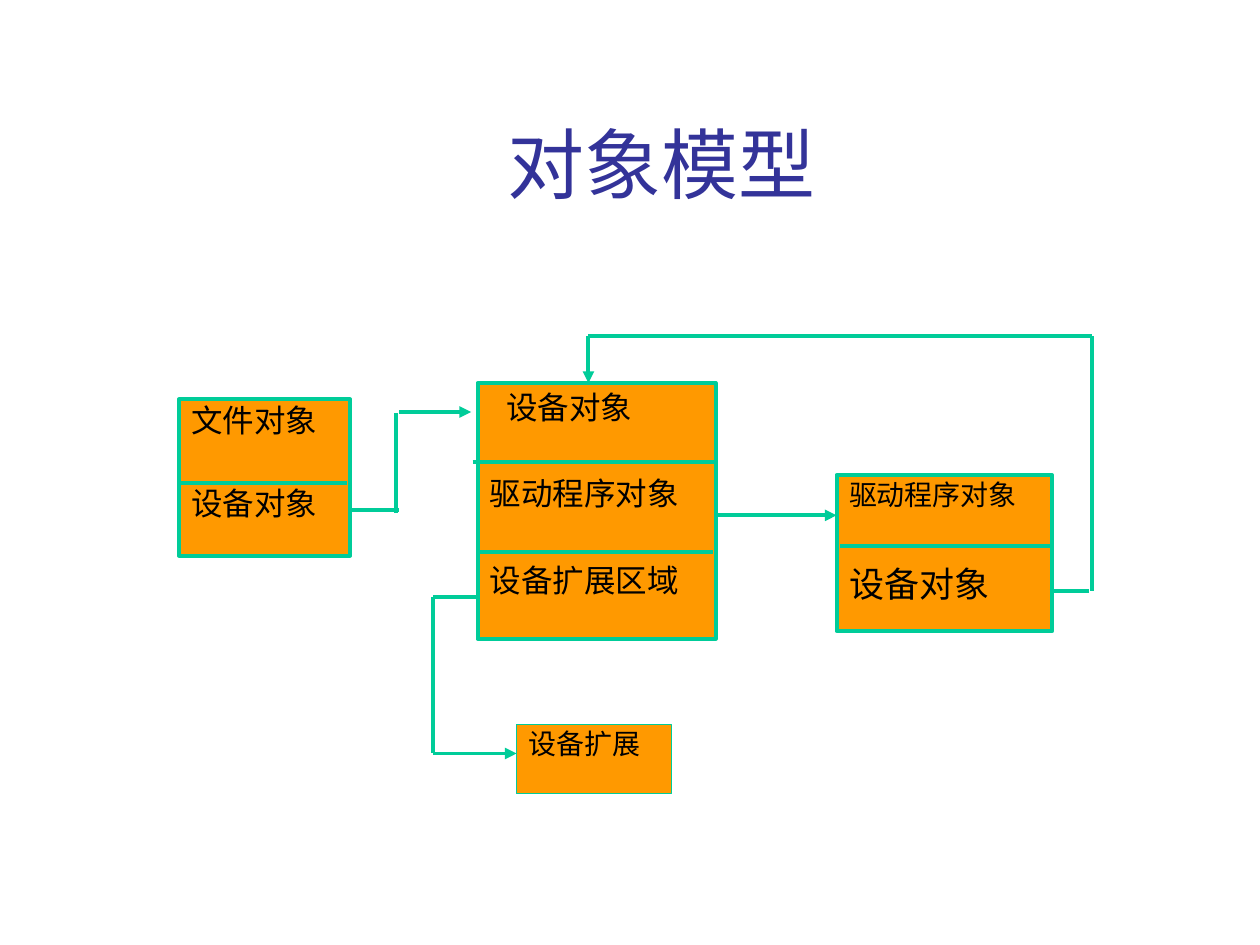
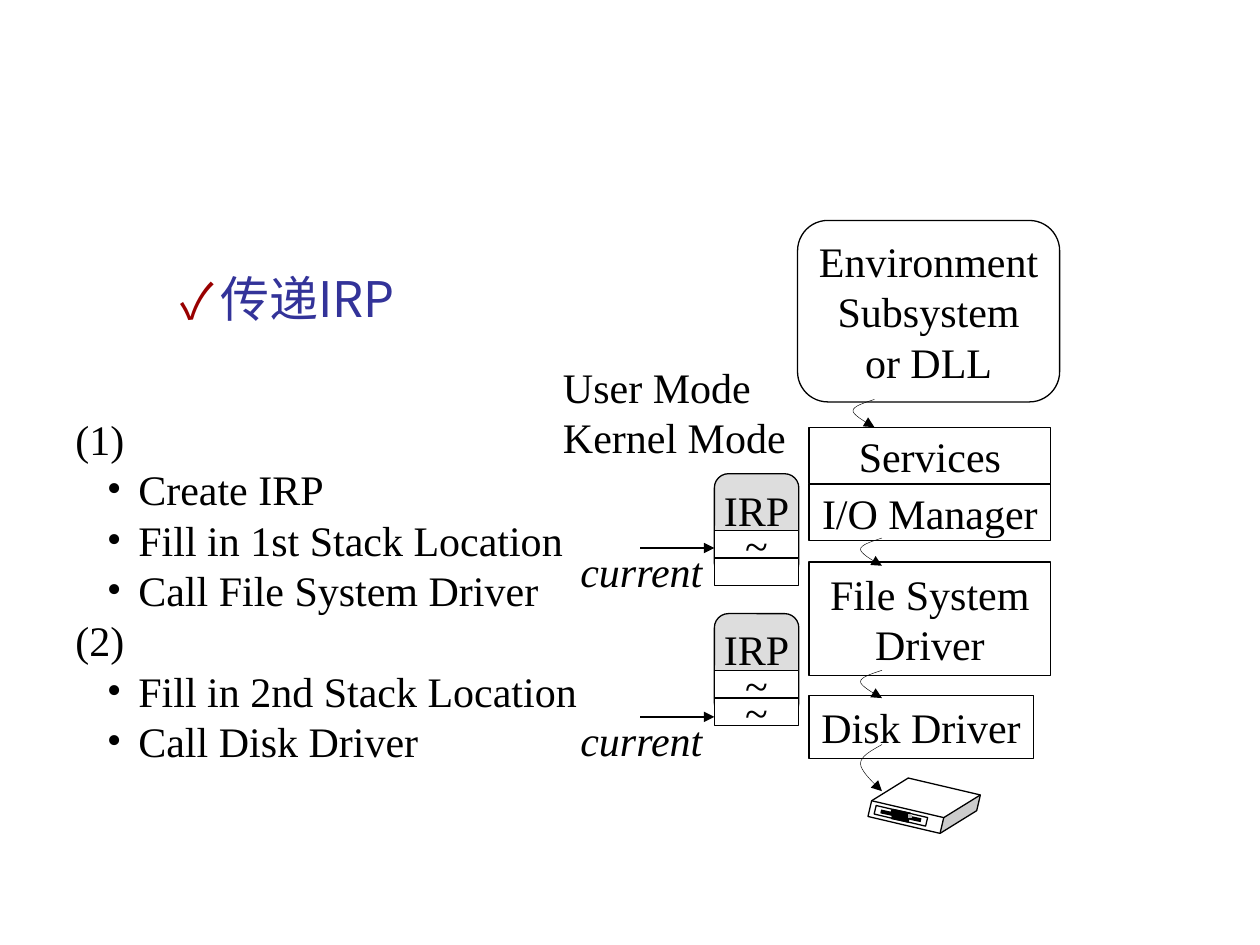
from lxml import etree
from pptx import Presentation
from pptx.dml.color import RGBColor
from pptx.enum import shapes, text
from pptx.oxml.ns import qn
from pptx.util import Inches, Pt

NAVY = RGBColor(0x33, 0x33, 0x99)
GREEN = RGBColor(0x00, 0xCC, 0x99)
ORANGE = RGBColor(0xFF, 0x99, 0x00)
BLACK = RGBColor(0x00, 0x00, 0x00)
WHITE = RGBColor(0xFF, 0xFF, 0xFF)
LIGHT_GRAY = RGBColor(0xDD, 0xDD, 0xDD)
GRAY = RGBColor(0xB2, 0xB2, 0xB2)
DARK_RED = RGBColor(0x99, 0x00, 0x00)
SERIF = "Times New Roman"
CHINESE = "Noto Sans CJK SC"
RECT = shapes.MSO_SHAPE.RECTANGLE
ROUNDED = shapes.MSO_SHAPE.ROUNDED_RECTANGLE
MIDDLE, TOP = text.MSO_ANCHOR.MIDDLE, text.MSO_ANCHOR.TOP
LEFT, CENTER = text.PP_ALIGN.LEFT, text.PP_ALIGN.CENTER


def add_box(page, kind, at, lines=(), fill=WHITE, border=BLACK, width=0.75,
            font=SERIF, size=24, align=CENTER, anchor=MIDDLE, wrap=False):
    place = [Inches(value) for value in at]
    if kind is None:
        box = page.shapes.add_textbox(*place)
    else:
        box = page.shapes.add_shape(kind, *place)
        box.shadow.inherit = False
        box.line.color.rgb = border
        box.line.width = Pt(width)
        if fill is None:
            box.fill.background()
        else:
            box.fill.solid()
            box.fill.fore_color.rgb = fill
    frame = box.text_frame
    frame.word_wrap = wrap
    frame.vertical_anchor = anchor
    frame.text = "\n".join(lines)
    for para in frame.paragraphs:
        para.alignment = align
        for span in para.runs:
            span.font.name = font
            span.font.size = Pt(size)
            span.font.color.rgb = BLACK
            etree.SubElement(span.font._element, qn("a:ea"), typeface=CHINESE)
    return box


def add_line(page, points, color=BLACK, width=0.75, arrow=False):
    for start, end in zip(points, points[1:]):
        line = page.shapes.add_connector(
            shapes.MSO_CONNECTOR.STRAIGHT, *[Inches(value) for value in start + end])
        line.line.color.rgb = color
        line.line.width = Pt(width)
        if arrow and end == points[-1]:
            etree.SubElement(line.line._get_or_add_ln(), qn("a:tailEnd"), type="triangle")
        etree.SubElement(line._element.spPr, qn("a:effectLst"))


deck = Presentation()
deck.slide_width = Inches(10)
deck.slide_height = Inches(7.5)

titles = [
    ("对象模型", (1, 0.67, 8.5, 1.25), 44, SERIF, CENTER, MIDDLE),
    ("传递IRP", (1.33, 2.08, 2.83, 0.57), 28, CHINESE, LEFT, TOP),
]
for words, at, size, font, align, anchor in titles:
    page = deck.slides.add_slide(deck.slide_layouts[5])
    title = page.shapes.title
    title.left, title.top, title.width, title.height = [Inches(value) for value in at]
    title.text_frame.text = words
    title.text_frame.auto_size = text.MSO_AUTO_SIZE.NONE
    title.text_frame.vertical_anchor = anchor
    para = title.text_frame.paragraphs[0]
    para.alignment = align
    span = para.runs[0]
    span.font.name = font
    span.font.size = Pt(size)
    span.font.color.rgb = NAVY
    etree.SubElement(span.font._element, qn("a:ea"), typeface=CHINESE)

object_page, irp_page = deck.slides

objects = [
    ((1.42, 3.17, 1.36, 1.24), ["文件对象", "设备对象"], 18, 2.25, 28),
    ((3.79, 3.04, 1.89, 2.03), ["设备对象", "驱动程序对象", "设备扩展区域"], 18, 2.25, 30),
    ((6.64, 3.77, 1.71, 1.24), ["驱动程序对象", "设备对象"], 16, 2.25, 32),
    ((4.1, 5.75, 1.23, 0.55), ["设备扩展"], 16, 0.75, 0),
]
object_boxes = []
for at, fields, size, width, gap in objects:
    box = add_box(object_page, RECT, at, fields, ORANGE, GREEN, width,
                  CHINESE, size, LEFT, TOP, wrap=True)
    for para in box.text_frame.paragraphs:
        para.line_spacing = 0.9
    for para in box.text_frame.paragraphs[1:]:
        para.space_before = Pt(gap)
    object_boxes.append(box)
file_box, device_box, driver_box, extension_box = object_boxes
device_box.text_frame.margin_top = Inches(0.07)
device_box.text_frame.paragraphs[0]._p.get_or_add_pPr().set("marL", str(Inches(0.13)))
driver_box.text_frame.paragraphs[1].runs[0].font.size = Pt(20)

references = [
    [(3.17, 3.27), (3.74, 3.27)],
    [(5.68, 4.09), (6.64, 4.09)],
    [(3.79, 4.74), (3.44, 4.74), (3.44, 5.98), (4.1, 5.98)],
    [(8.67, 4.69), (8.67, 2.67), (4.67, 2.67), (4.67, 3.04)],
]
for points in references:
    add_line(object_page, points, GREEN, 2.25, arrow=True)

plain_lines = [
    [(2.78, 4.05), (3.17, 4.05)],
    [(3.14, 4.07), (3.14, 3.28)],
    [(8.33, 4.69), (8.64, 4.69)],
    [(1.42, 3.83), (2.75, 3.83)],
    [(3.75, 3.67), (5.67, 3.67)],
    [(3.8, 4.38), (5.66, 4.38)],
    [(6.67, 4.33), (8.33, 4.33)],
]
for points in plain_lines:
    add_line(object_page, points, GREEN, 2.25)

steps = add_box(irp_page, None, (0.5, 3.23, 4.29, 2.9), [
    "(1)", "Create IRP", "Fill in 1st Stack Location", "Call File System Driver",
    "(2)", "Fill in 2nd Stack Location", "Call Disk Driver"], align=LEFT)
bullets = [(irp_page.shapes.title.text_frame.paragraphs[0], "✓", CHINESE, DARK_RED, 0.32, 0.32)]
for para in steps.text_frame.paragraphs:
    if not para.text.startswith("("):
        para.level = 1
        bullets.append((para, "•", SERIF, BLACK, 0.5, 0.25))
for para, mark, font, color, margin, hanging in bullets:
    properties = para._p.get_or_add_pPr()
    properties.set("marL", str(Inches(margin)))
    properties.set("indent", str(-Inches(hanging)))
    mark_color = etree.SubElement(properties, qn("a:buClr"))
    etree.SubElement(mark_color, qn("a:srgbClr"), val=str(color))
    etree.SubElement(properties, qn("a:buFont"), typeface=font)
    etree.SubElement(properties, qn("a:buChar"), char=mark)

add_box(irp_page, RECT, (6.42, 5.52, 1.78, 0.5), ["Disk Driver"], fill=None)
add_box(irp_page, ROUNDED, (6.33, 1.75, 2.08, 1.44), ["Environment", "Subsystem", "or DLL"])
add_box(irp_page, RECT, (6.42, 3.39, 1.92, 0.45), ["Services"])
add_box(irp_page, RECT, (6.42, 3.84, 1.92, 0.45), ["I/O Manager"])
add_box(irp_page, RECT, (6.42, 4.46, 1.92, 0.9), ["File System Driver"], wrap=True)

for left, top, height in [(6.77, 3.17, 0.22), (6.83, 4.27, 0.22),
                          (6.83, 5.91, 0.37), (6.83, 5.32, 0.22)]:
    curve = []
    for controls in [((1, 0), (0.5, 0.13), (0, 0.25), (0, 0.41)),
                     ((0, 0.41), (0, 0.55), (0.5, 0.78), (1, 1))]:
        for step in range(9):
            t = step / 8
            weights = ((1 - t) ** 3, 3 * t * (1 - t) ** 2, 3 * t * t * (1 - t), t ** 3)
            x = sum(weight * point[0] for weight, point in zip(weights, controls))
            y = sum(weight * point[1] for weight, point in zip(weights, controls))
            curve.append((Inches(left + 0.17 * x), Inches(top + height * y)))
    builder = irp_page.shapes.build_freeform(*curve[0])
    builder.add_line_segments(curve[1:], close=False)
    call = builder.convert_to_shape()
    call.shadow.inherit = False
    call.fill.background()
    call.line.color.rgb = BLACK
    call.line.width = Pt(0.25)
    etree.SubElement(call.line._get_or_add_ln(), qn("a:tailEnd"), type="triangle")

disk = add_box(irp_page, shapes.MSO_SHAPE.CUBE, (6.92, 6.21, 0.83, 0.37))
disk.adjustments[0] = 0.654
slot = add_box(irp_page, RECT, (6.94, 6.44, 0.42, 0.07))
disk.rotation = slot.rotation = 13.2
add_line(irp_page, [(6.99, 6.44), (7.31, 6.51)], width=2.25)
add_line(irp_page, [(7.08, 6.46), (7.22, 6.49)], width=6)
add_line(irp_page, [(7.09, 6.43), (7.08, 6.46)], width=2.25)
add_line(irp_page, [(7.22, 6.46), (7.22, 6.49)], GRAY, 2.25)

add_box(irp_page, None, (4.37, 2.82, 1.97, 0.9), ["User Mode", "Kernel Mode"], align=LEFT)

for top, locations, current in [(3.76, ["~", ""], 4.35), (4.87, ["~", "~"], 5.69)]:
    add_box(irp_page, ROUNDED, (5.67, top, 0.67, 0.82), ["IRP"], LIGHT_GRAY, anchor=TOP)
    for row, location in enumerate(locations):
        add_box(irp_page, RECT, (5.67, top + 0.45 + 0.22 * row, 0.67, 0.22), [location])
    add_line(irp_page, [(5.08, current), (5.67, current)], arrow=True)
    label = add_box(irp_page, None, (4.5, current - 0.07, 1.18, 0.45), ["current"], anchor=TOP)
    label.text_frame.paragraphs[0].runs[0].font.italic = True

deck.save("out.pptx")
